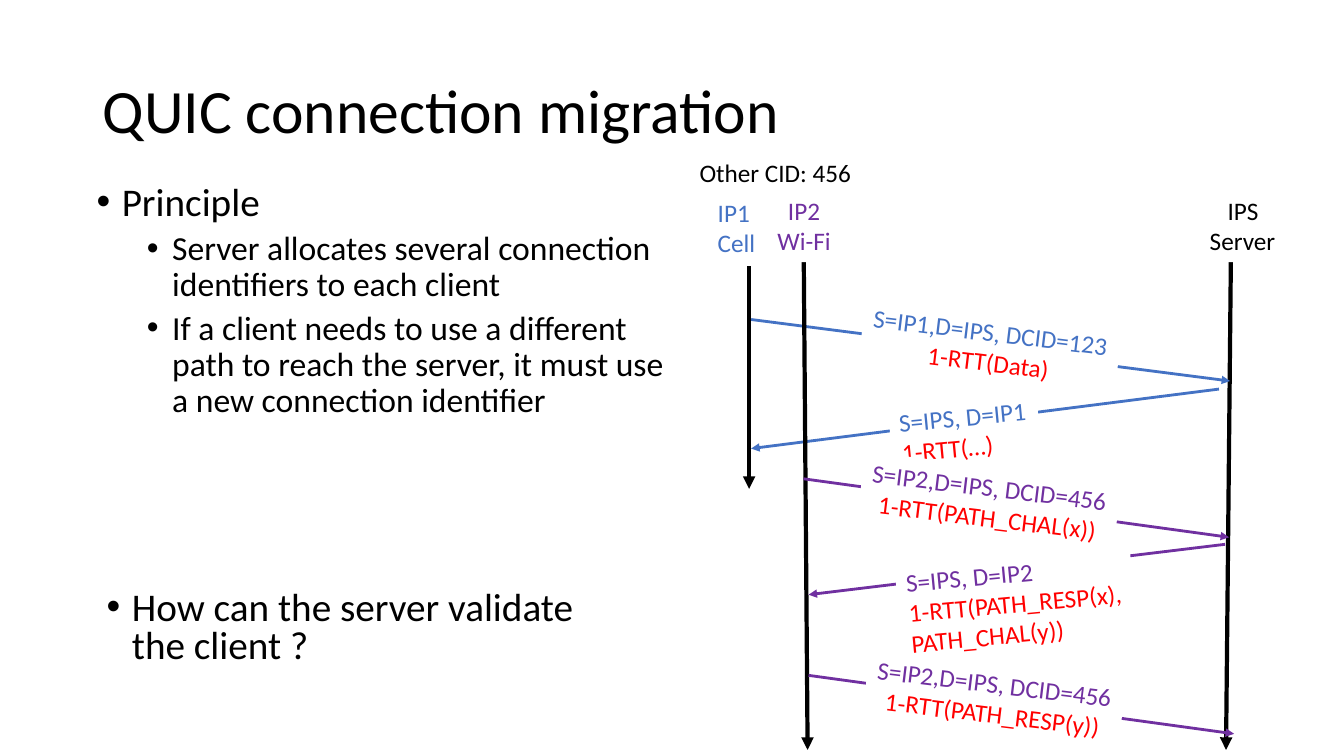
from dataclasses import dataclass

from lxml import etree
from pptx import Presentation
from pptx.dml.color import RGBColor
from pptx.enum.shapes import MSO_CONNECTOR
from pptx.enum.text import MSO_ANCHOR, MSO_AUTO_SIZE, PP_ALIGN
from pptx.oxml.ns import qn
from pptx.util import Inches, Pt

STRAIGHT = MSO_CONNECTOR.STRAIGHT
MIDDLE, TOP = MSO_ANCHOR.MIDDLE, MSO_ANCHOR.TOP
GROW, FIXED = MSO_AUTO_SIZE.SHAPE_TO_FIT_TEXT, MSO_AUTO_SIZE.NONE
LEFT, CENTER = PP_ALIGN.LEFT, PP_ALIGN.CENTER


@dataclass(frozen=True)
class Theme:
    font: str = "Calibri"
    text: RGBColor = RGBColor(0x00, 0x00, 0x00)
    background: RGBColor = RGBColor(0xFF, 0xFF, 0xFF)
    cell: RGBColor = RGBColor(0x44, 0x72, 0xC4)
    wifi: RGBColor = RGBColor(0x70, 0x30, 0xA0)
    frame: RGBColor = RGBColor(0xFF, 0x00, 0x00)
    title_size: int = 44
    body_size: int = 28
    detail_size: int = 24
    label_size: int = 18
    lifeline_width: int = 3
    message_width: int = 2


THEME = Theme()
LABEL_HEIGHT = 0.71
REQUEST_ANGLE, REPLY_ANGLE = 6.9, -5.4


def add_text_box(slide, box, wrap=True, anchor=TOP, auto_size=FIXED):
    shape = slide.shapes.add_textbox(*(Inches(length) for length in box))
    frame = shape.text_frame
    frame.word_wrap = wrap
    frame.auto_size = auto_size
    frame.vertical_anchor = anchor
    return shape


def write_paragraph(frame, index, text, size, color, alignment=LEFT):
    paragraph = frame.paragraphs[0] if index == 0 else frame.add_paragraph()
    paragraph.text = text
    paragraph.alignment = alignment
    paragraph.font.name = THEME.font
    paragraph.font.size = Pt(size)
    paragraph.font.color.rgb = color
    return paragraph


def add_bullet(paragraph, level=0):
    properties = paragraph._p.get_or_add_pPr()
    properties.set("marL", str(Inches(0.25 + 0.5 * level)))
    properties.set("indent", str(Inches(-0.25)))
    paragraph.level = level
    font = etree.Element(qn("a:buFont"), typeface="Arial")
    character = etree.Element(qn("a:buChar"), char="•")
    defaults = properties.find(qn("a:defRPr"))
    defaults.addprevious(font)
    defaults.addprevious(character)


def add_title(slide, box, text):
    frame = add_text_box(slide, box, anchor=MIDDLE).text_frame
    paragraph = write_paragraph(frame, 0, text, THEME.title_size, THEME.text)
    paragraph.line_spacing = 0.9


def add_bullets(slide, box, items, line_spacing=0.9):
    """Items are (level, text) pairs."""
    frame = add_text_box(slide, box).text_frame
    for index, (level, text) in enumerate(items):
        size = THEME.detail_size if level else THEME.body_size
        paragraph = write_paragraph(frame, index, text, size, THEME.text)
        paragraph.line_spacing = line_spacing
        paragraph.space_before = Pt(5 if level else 10)
        add_bullet(paragraph, level)


def add_arrow(slide, origin, start, end, color, width):
    left, top = origin
    connector = slide.shapes.add_connector(
        STRAIGHT,
        Inches(left + start[0]), Inches(top + start[1]),
        Inches(left + end[0]), Inches(top + end[1]))
    connector.line.color.rgb = color
    connector.line.width = Pt(width)
    etree.SubElement(connector.line._get_or_add_ln(), qn("a:tailEnd"), type="triangle")
    etree.SubElement(connector._element.spPr, qn("a:effectLst"))


def add_label(slide, origin, box, lines, angle=0, filled=True):
    """Lines are (text, color, alignment) triples."""
    left, top, width, height = box
    shape = add_text_box(slide, (origin[0] + left, origin[1] + top, width, height),
                         wrap=False, auto_size=GROW)
    shape.rotation = angle
    if filled:
        shape.fill.solid()
        shape.fill.fore_color.rgb = THEME.background
    for index, (text, color, alignment) in enumerate(lines):
        write_paragraph(shape.text_frame, index, text, THEME.label_size, color, alignment)


def add_message(slide, origin, color, start, end, label_box, header, content):
    is_request = end[0] > start[0]
    add_arrow(slide, origin, start, end, color, THEME.message_width)
    lines = [(header, color, LEFT),
             (content, THEME.frame, CENTER if is_request else LEFT)]
    add_label(slide, origin, label_box, lines,
              REQUEST_ANGLE if is_request else REPLY_ANGLE)


def add_sequence_diagram(slide, origin):
    """Places the diagram; every inner position is an offset from origin."""
    request_size = (2.56, LABEL_HEIGHT)
    cell_messages = [
        ((5.25, 2.35), (0.61, 2.94), (1.99, 2.42, 1.48, LABEL_HEIGHT),
         "S=IPS, D=IP1", "1-RTT(…)"),
        ((0.61, 1.66), (5.36, 2.27), (1.7, 1.58, *request_size),
         "S=IP1,D=IPS, DCID=123", "1-RTT(Data)"),
    ]
    wifi_messages = [
        ((1.13, 3.24), (5.35, 3.82), (1.69, 3.12, *request_size),
         "S=IP2,D=IPS, DCID=456", "1-RTT(PATH_CHAL(x))"),
        ((5.31, 3.89), (1.18, 4.39), (2.07, 3.97, 2.34, 1.01),
         "S=IPS, D=IP2", "1-RTT(PATH_RESP(x),\nPATH_CHAL(y))"),
        ((1.18, 5.19), (5.4, 5.77), (1.74, 5.07, *request_size),
         "S=IP2,D=IPS, DCID=456", "1-RTT(PATH_RESP(y))"),
    ]
    server_lifeline = ((5.37, 0.87), (5.32, 5.93))
    client_lifelines = [((0.59, 1.13), (0.59, 3.34)), ((1.13, 0.8), (1.17, 5.93))]
    hosts = [
        ((0.18, 0.4, 0.58), THEME.cell, ("IP1", LEFT), ("Cell", LEFT)),
        ((0.77, 0.38, 0.73), THEME.wifi, ("IP2", CENTER), ("Wi-Fi", CENTER)),
        ((5.06, 0.38, 0.86), THEME.text, ("IPS", CENTER), ("Server", LEFT)),
    ]

    # Server lifeline lies behind the messages, client lifelines above the first ones
    add_arrow(slide, origin, *server_lifeline, THEME.text, THEME.lifeline_width)
    for message in cell_messages:
        add_message(slide, origin, THEME.cell, *message)
    for lifeline in client_lifelines:
        add_arrow(slide, origin, *lifeline, THEME.text, THEME.lifeline_width)
    for message in wifi_messages:
        add_message(slide, origin, THEME.wifi, *message)

    # Host names and the client's spare connection identifier
    for place, color, *names in hosts:
        lines = [(name, color, alignment) for name, alignment in names]
        add_label(slide, origin, (*place, LABEL_HEIGHT), lines)
    add_label(slide, origin, (0, 0, 1.72, 0.4),
              [("Other CID: 456", THEME.text, LEFT)], filled=False)


def main():
    presentation = Presentation()
    presentation.slide_width = Inches(13.33)
    presentation.slide_height = Inches(7.5)
    slide = presentation.slides.add_slide(presentation.slide_layouts[6])

    add_title(slide, (0.92, 0.4, 11.5, 1.45), "QUIC connection migration")
    add_bullets(slide, (0.86, 1.76, 5.84, 4.76), [
        (0, "Principle"),
        (1, "Server allocates several connection identifiers to each client"),
        (1, "If a client needs to use a different path to reach the server, "
            "it must use a new connection identifier"),
    ])
    add_sequence_diagram(slide, (6.84, 1.51))
    add_bullets(slide, (0.96, 5.82, 4.95, 0.93),
                [(0, "How can the server validate the client ?")], line_spacing=0.8)

    presentation.save("out.pptx")


if __name__ == "__main__":
    main()
